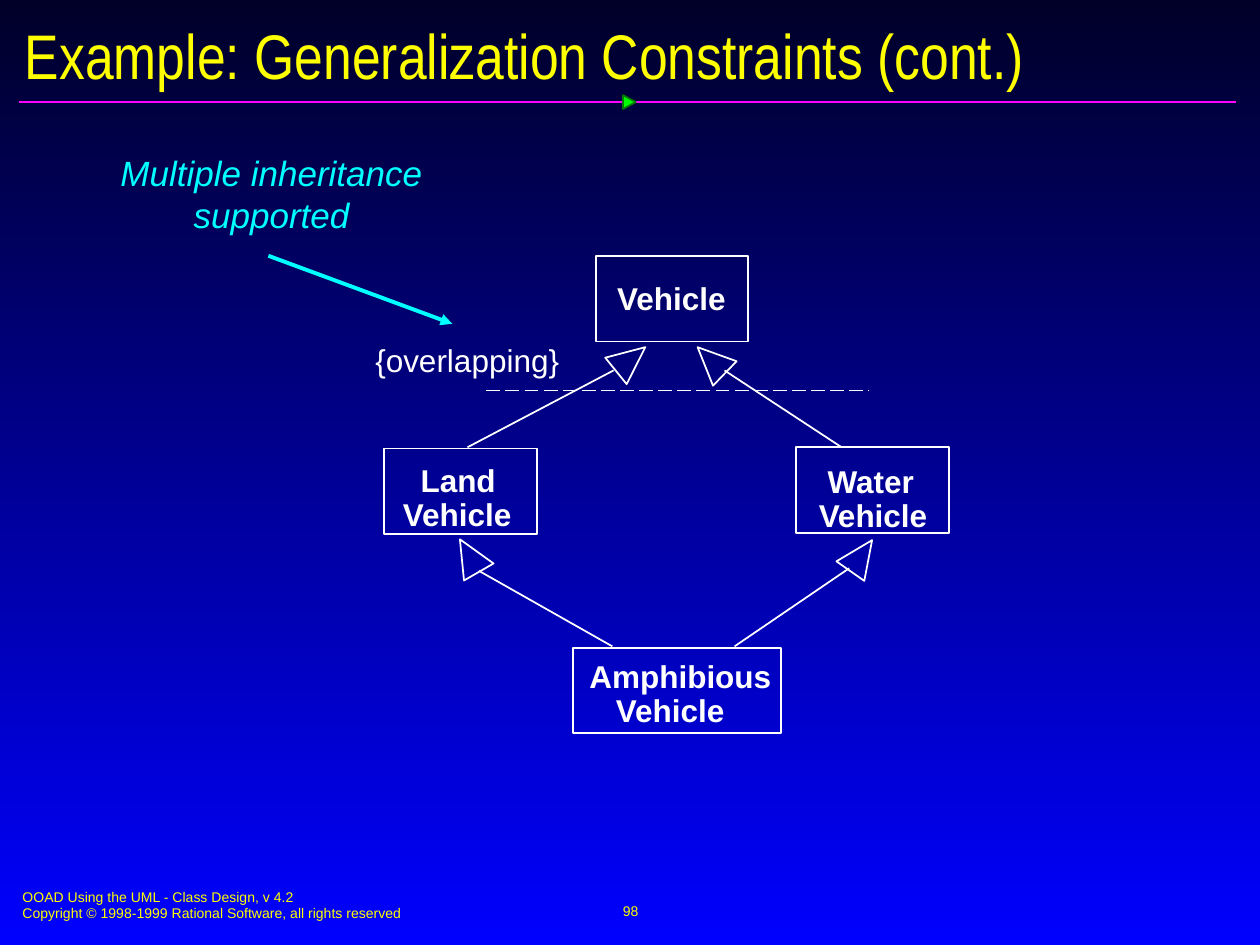
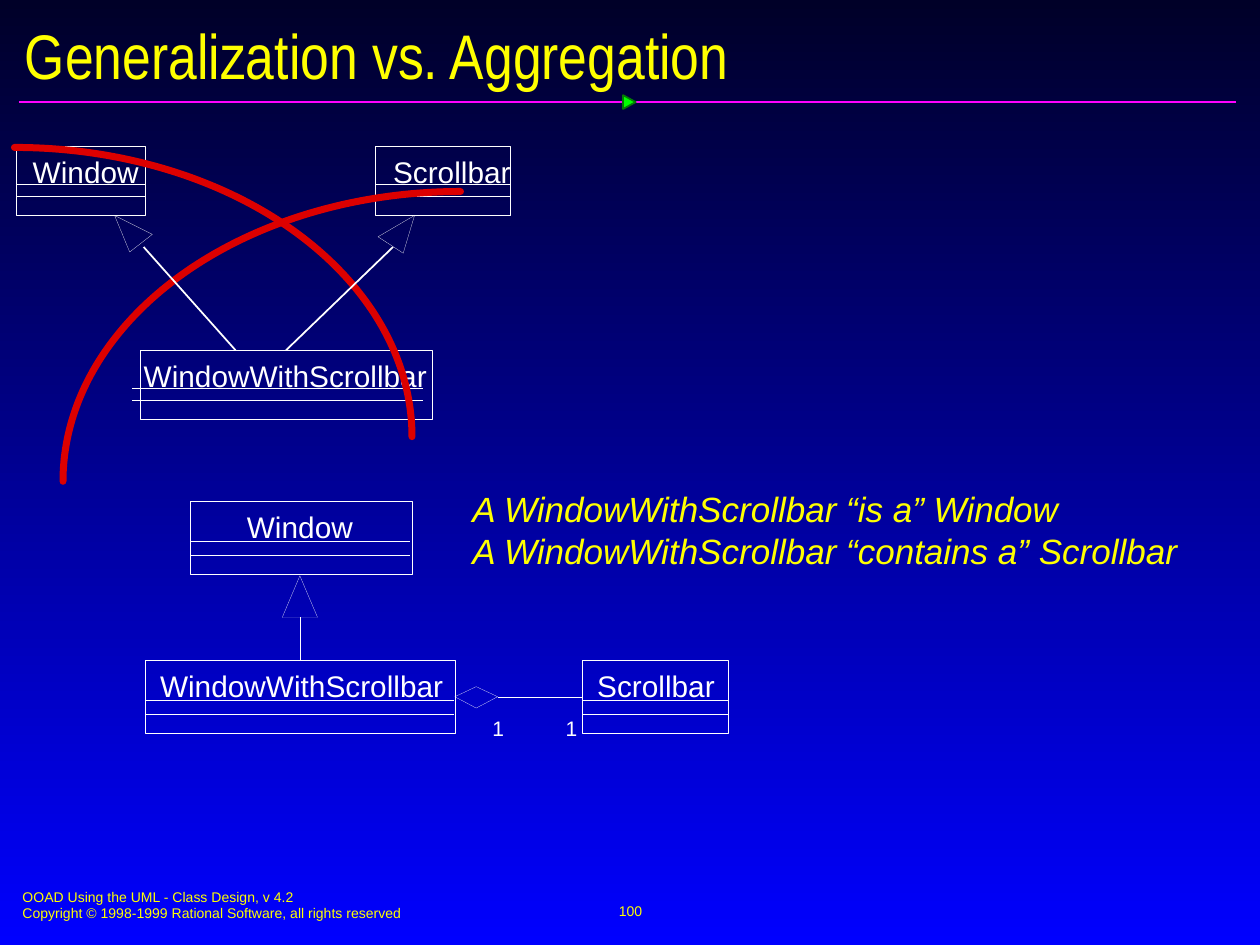
from dataclasses import dataclass
from typing import NamedTuple

import pptx
import pptx.dml.color
import pptx.enum.dml
import pptx.enum.shapes
import pptx.enum.text
import pptx.oxml
import pptx.oxml.ns
import pptx.util
from pptx.util import Inches

Shapes = pptx.enum.shapes.MSO_SHAPE
Align = pptx.enum.text.PP_ALIGN
Anchor = pptx.enum.text.MSO_ANCHOR
Point = tuple[float, float]


@dataclass(frozen=True)
class Theme:
    top: str = "000028"
    bottom: str = "0000FF"
    yellow: str = "FFFF00"
    white: str = "FFFFFF"
    cyan: str = "00FFFF"
    rule: str = "FF01FF"
    marker: str = "00FF00"
    marker_edge: str = "037C03"
    red: str = "DC0000"
    font: str = "Arial"
    title_font: str = "Arial Narrow"
    title_size: float = 36
    note_size: float = 20
    box_size: float = 18
    class_size: float = 17
    multiplicity_size: float = 12
    footer_size: float = 8
    hairline: float = 0.1


THEME = Theme()


class Box(NamedTuple):
    left: float
    top: float
    width: float
    height: float

    def lengths(self) -> list:
        return [Inches(value) for value in self]


@dataclass(frozen=True)
class TextStyle:
    size: float
    color: str = THEME.white
    font: str = THEME.font
    bold: bool = False
    italic: bool = False
    align: Align = Align.LEFT
    anchor: Anchor = Anchor.TOP
    wrap: bool = False
    spacing: float = 1.0
    inset: Point = (0.1, 0.05)


TITLE = TextStyle(THEME.title_size, THEME.yellow, THEME.title_font, anchor=Anchor.MIDDLE, wrap=True)
FOOTER = TextStyle(THEME.footer_size, THEME.yellow, wrap=True)
PAGE_NUMBER = TextStyle(THEME.footer_size, THEME.yellow, align=Align.CENTER, anchor=Anchor.MIDDLE)
BOX_NAME = TextStyle(THEME.box_size, bold=True, spacing=0.9)
CONSTRAINT = TextStyle(THEME.box_size, spacing=0.9)
CALLOUT = TextStyle(THEME.note_size, THEME.cyan, italic=True, align=Align.CENTER, wrap=True,
                    inset=(0.12, 0.06))
STATEMENT = TextStyle(THEME.note_size, THEME.yellow, italic=True)
CLASS_NAME = TextStyle(THEME.class_size, inset=(0, 0))
MULTIPLICITY = TextStyle(THEME.multiplicity_size)


@dataclass(frozen=True)
class VehicleBox:
    outline: Box
    label: Box
    lines: tuple[str, ...]
    indents: tuple[float, ...]


@dataclass(frozen=True)
class UmlClass:
    name: str
    outline: Box
    name_left: float
    name_width: float
    dividers: Point
    divider_width: float
    divider_shift: float = 0.0


def rgb(color: str) -> pptx.dml.color.RGBColor:
    return pptx.dml.color.RGBColor.from_string(color)


def add_text(slide, box: Box, lines: tuple[str, ...], style: TextStyle,
             indents: tuple[float, ...] = ()) -> None:
    frame = slide.shapes.add_textbox(*box.lengths()).text_frame
    frame.word_wrap = style.wrap
    if style.anchor == Anchor.TOP:
        frame.auto_size = pptx.enum.text.MSO_AUTO_SIZE.SHAPE_TO_FIT_TEXT
    frame.vertical_anchor = style.anchor
    frame.margin_left = frame.margin_right = Inches(style.inset[0])
    frame.margin_top = frame.margin_bottom = Inches(style.inset[1])
    for index, line in enumerate(lines):
        paragraph = frame.paragraphs[0] if index == 0 else frame.add_paragraph()
        paragraph.alignment = style.align
        paragraph.line_spacing = style.spacing
        if indents:
            paragraph._p.get_or_add_pPr().set("marL", str(Inches(indents[index])))
        run = paragraph.add_run()
        run.text = line
        run.font.name = style.font
        run.font.size = pptx.util.Pt(style.size)
        run.font.bold = style.bold
        run.font.italic = style.italic
        run.font.color.rgb = rgb(style.color)


def style_outline(shape, color: str, width: float, fill: str | None = None) -> None:
    shape.shadow.inherit = False
    if fill:
        shape.fill.solid()
        shape.fill.fore_color.rgb = rgb(fill)
    else:
        shape.fill.background()
    shape.line.color.rgb = rgb(color)
    shape.line.width = pptx.util.Pt(width)


def add_preset(slide, preset: Shapes, box: Box, color: str = THEME.white, width: float = 1,
               fill: str | None = None, rotation: float = 0):
    shape = slide.shapes.add_shape(preset, *box.lengths())
    shape.rotation = rotation
    style_outline(shape, color, width, fill)
    return shape


def add_outline(slide, points: list[Point]) -> None:
    corners = [(Inches(x), Inches(y)) for x, y in points]
    builder = slide.shapes.build_freeform(*corners[0], scale=1.0)
    builder.add_line_segments(corners[1:], close=True)
    style_outline(builder.convert_to_shape(), THEME.white, THEME.hairline)


def add_line(slide, start: Point, end: Point, width: float = 1, color: str = THEME.white,
             dashed: bool = False, arrow: bool = False):
    connector = slide.shapes.add_connector(
        pptx.enum.shapes.MSO_CONNECTOR.STRAIGHT, *(Inches(value) for value in (*start, *end)))
    connector.line.color.rgb = rgb(color)
    connector.line.width = pptx.util.Pt(width)
    if dashed:
        connector.line.dash_style = pptx.enum.dml.MSO_LINE.LONG_DASH
    properties = connector._element.spPr
    if arrow:
        line = properties.find(pptx.oxml.ns.qn("a:ln"))
        line.append(pptx.oxml.parse_xml(
            f'<a:tailEnd {pptx.oxml.ns.nsdecls("a")} type="triangle"/>'))
    properties.append(pptx.oxml.parse_xml(f'<a:effectLst {pptx.oxml.ns.nsdecls("a")}/>'))
    return connector


def add_arc(slide, box: Box, start: float, end: float) -> None:
    arc = add_preset(slide, Shapes.ARC, box, THEME.red, 4)
    # Arc adjustments hold angles in units of 100000 / 60000 degrees.
    arc.adjustments[0] = start * 0.6
    arc.adjustments[1] = end * 0.6
    arc._element.spPr.find(pptx.oxml.ns.qn("a:ln")).set("cap", "rnd")


def add_vehicle(slide, vehicle: VehicleBox) -> None:
    add_preset(slide, Shapes.RECTANGLE, vehicle.outline)
    add_text(slide, vehicle.label, vehicle.lines, BOX_NAME, vehicle.indents)


def add_class(slide, uml: UmlClass, divider_weight: float):
    outline = add_preset(slide, Shapes.RECTANGLE, uml.outline, width=THEME.hairline)
    add_text(slide, Box(uml.name_left, uml.outline.top + 0.06, uml.name_width, 0.28),
             (uml.name,), CLASS_NAME)
    left = uml.outline.left + uml.divider_shift
    for offset in uml.dividers:
        y = uml.outline.top + offset
        add_line(slide, (left, y), (left + uml.divider_width, y), divider_weight)
    return outline


def new_slide(presentation, title: str, number: int):
    slide = presentation.slides.add_slide(presentation.slide_layouts[6])
    # Background gradient, running downwards
    fill = slide.background.fill
    fill.gradient()
    fill.gradient_angle = 270
    for stop, color in zip(fill.gradient_stops, (THEME.top, THEME.bottom)):
        stop.color.rgb = rgb(color)
    # Title rule with its marker, title and footer
    add_line(slide, (0.15, 0.81), (9.81, 0.81), color=THEME.rule)
    add_preset(slide, Shapes.ISOSCELES_TRIANGLE, Box(4.94, 0.76, 0.11, 0.1),
               THEME.marker_edge, fill=THEME.marker, rotation=90)
    add_text(slide, Box(0.08, 7, 5.1, 0.37),
             ("OOAD Using the UML - Class Design, v 4.2",
              "Copyright © 1998-1999 Rational Software, all rights reserved"), FOOTER)
    add_text(slide, Box(3.42, 6.98, 3.17, 0.5), (str(number),), PAGE_NUMBER)
    add_text(slide, Box(0.1, 0.14, 9.84, 0.58), (title,), TITLE)
    return slide


def build_constraints(presentation) -> None:
    slide = new_slide(presentation, "Example: Generalization Constraints (cont.)", 98)
    # Vehicle hierarchy
    for vehicle in (
        VehicleBox(Box(4.73, 2.03, 1.21, 0.68), Box(4.8, 2.2, 1.1, 0.36), ("Vehicle",), (0,)),
        VehicleBox(Box(6.32, 3.55, 1.21, 0.68), Box(6.4, 3.65, 1.1, 0.63),
                   ("Water", "Vehicle"), (0.07, 0)),
        VehicleBox(Box(3.05, 3.56, 1.21, 0.68), Box(3.1, 3.64, 1.1, 0.63),
                   ("Land", "Vehicle"), (0.14, 0)),
        VehicleBox(Box(4.55, 5.14, 1.65, 0.68), Box(4.58, 5.2, 1.67, 0.63),
                   ("Amphibious", "Vehicle"), (0, 0.21)),
    ):
        add_vehicle(slide, vehicle)
    # Generalization arrowheads and their lines
    for left, top, rotation in ((4.87, 2.7, 51), (3.59, 4.26, 330), (6.7, 4.26, 35),
                                (5.51, 2.71, 314)):
        add_preset(slide, Shapes.ISOSCELES_TRIANGLE, Box(left, top, 0.27, 0.3), rotation=rotation)
    for start, end in (((3.8, 4.53), (4.86, 5.13)), ((6.74, 4.51), (5.83, 5.13)),
                       ((3.71, 3.55), (4.87, 2.94)), ((6.68, 3.55), (5.75, 2.94))):
        add_line(slide, start, end)
    # Constraint and callout
    add_line(slide, (3.86, 3.1), (6.9, 3.1), dashed=True)
    add_text(slide, Box(2.88, 2.69, 1.68, 0.36), ("{overlapping}",), CONSTRAINT)
    add_text(slide, Box(0.61, 1.14, 3.09, 0.79), ("Multiple inheritance supported",), CALLOUT)
    add_line(slide, (2.13, 2.03), (3.59, 2.57), 2.25, THEME.cyan, arrow=True)


def build_aggregation(presentation) -> None:
    slide = new_slide(presentation, "Generalization vs. Aggregation", 100)
    # Recommended design: inherit from Window, contain a Scrollbar
    dividers = (0.32, 0.43)
    scrollbar, _, combined = [add_class(slide, uml, 0.5) for uml in (
        UmlClass("Scrollbar", Box(4.62, 5.24, 1.16, 0.58), 4.74, 0.96, dividers, 1.16),
        UmlClass("Window", Box(1.51, 3.98, 1.76, 0.58), 1.96, 0.87, dividers, 1.74),
        UmlClass("WindowWithScrollbar", Box(1.15, 5.24, 2.46, 0.58), 1.27, 2.28, dividers, 2.45),
    )]
    add_line(slide, (2.38, 5.24), (2.38, 4.9), THEME.hairline).begin_connect(combined, 0)
    add_outline(slide, [(2.38, 4.57), (2.52, 4.9), (2.24, 4.9)])
    add_line(slide, (3.95, 5.53), (4.62, 5.53), THEME.hairline).end_connect(scrollbar, 1)
    add_outline(slide, [(3.61, 5.53), (3.78, 5.62), (3.95, 5.53), (3.78, 5.45)])
    for left in (4.39, 3.81):
        add_text(slide, Box(left, 5.63, 0.29, 0.3), ("1",), MULTIPLICITY)

    # Rejected design: inherit from both
    dividers = (0.3, 0.4)
    _, combined, _ = [add_class(slide, uml, 0.37) for uml in (
        UmlClass("Window", Box(0.13, 1.16, 1.02, 0.55), 0.26, 0.87, dividers, 1.02),
        UmlClass("WindowWithScrollbar", Box(1.11, 2.78, 2.32, 0.55), 1.14, 2.28, dividers, 2.31,
                 -0.06),
        UmlClass("Scrollbar", Box(2.98, 1.16, 1.07, 0.55), 3.12, 0.96, dividers, 1.07),
    )]
    add_outline(slide, [(0.91, 1.71), (1.21, 1.86), (1.03, 2)])
    add_outline(slide, [(3.29, 1.71), (3.2, 2.01), (3, 1.88)])
    # Red strokes crossing it out
    add_arc(slide, Box(-3.04, 1.17, 6.31, 4.59), 270, 0)
    add_arc(slide, Box(0.5, 1.52, 6.31, 4.6), 180, 270)
    add_line(slide, (1.14, 1.96), (1.87, 2.78))
    add_line(slide, (3.12, 1.96), (2.27, 2.78)).end_connect(combined, 0)

    add_text(slide, Box(3.65, 3.82, 5.81, 0.77),
             ("A WindowWithScrollbar “is a” Window",
              "A WindowWithScrollbar “contains a” Scrollbar"), STATEMENT)


def main() -> None:
    presentation = pptx.Presentation()
    presentation.slide_width = Inches(10)
    presentation.slide_height = Inches(7.5)
    build_constraints(presentation)
    build_aggregation(presentation)
    presentation.save("out.pptx")


if __name__ == "__main__":
    main()
